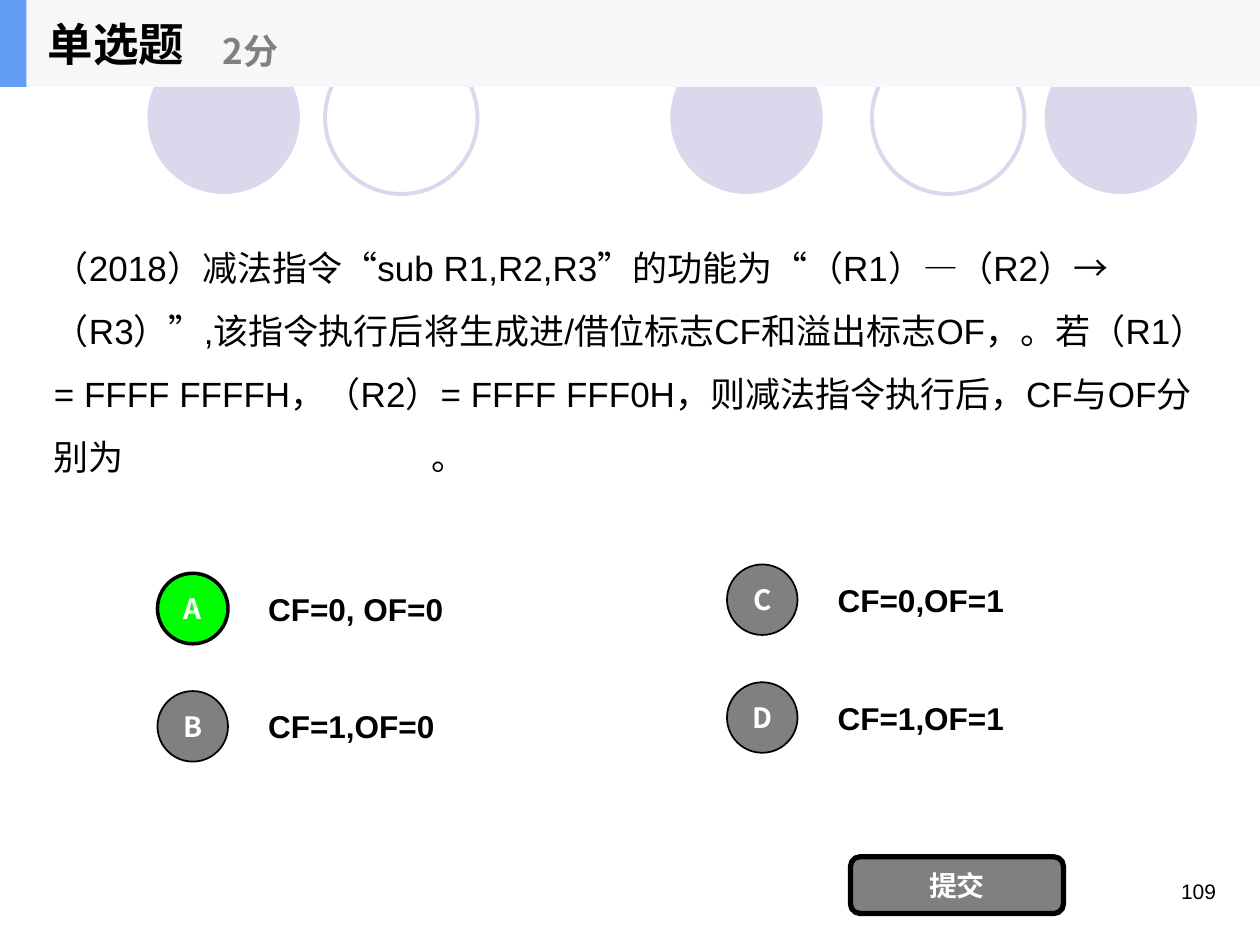
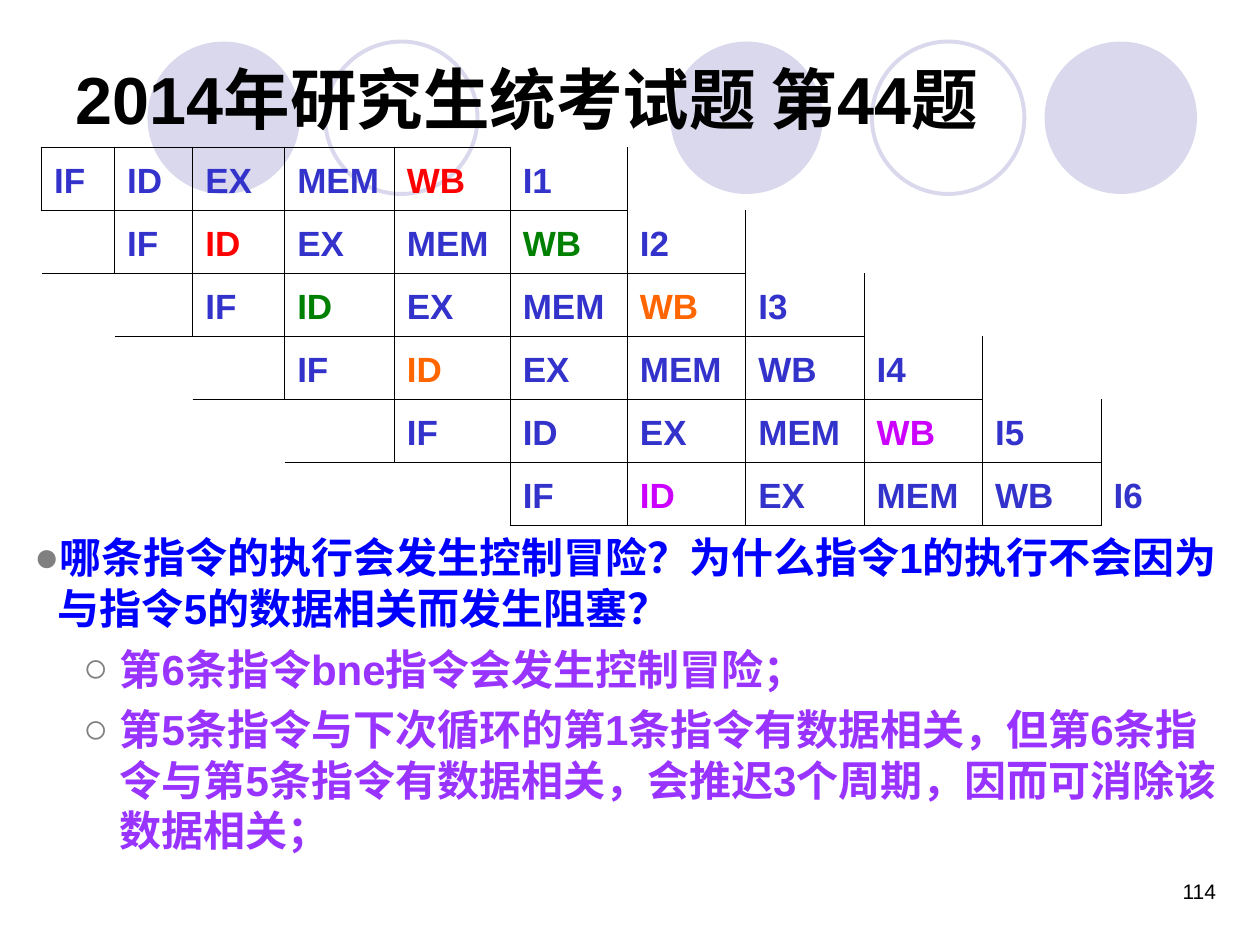
import pptx
import pptx.util
import pptx.dml.color
import pptx.enum.shapes
import pptx.enum.text
import pptx.oxml.ns
from lxml import etree

Inches = pptx.util.Inches
Pt = pptx.util.Pt
OVAL = pptx.enum.shapes.MSO_SHAPE.OVAL
RECTANGLE = pptx.enum.shapes.MSO_SHAPE.RECTANGLE
ROUNDED = pptx.enum.shapes.MSO_SHAPE.ROUNDED_RECTANGLE
MIDDLE = pptx.enum.text.MSO_ANCHOR.MIDDLE
TOP = pptx.enum.text.MSO_ANCHOR.TOP
LEFT = pptx.enum.text.PP_ALIGN.LEFT
CENTER = pptx.enum.text.PP_ALIGN.CENTER
RIGHT = pptx.enum.text.PP_ALIGN.RIGHT

LATIN, CJK = "Arial", "Noto Sans CJK SC"
COLORS = {
    "black": "000000", "white": "FFFFFF", "gray": "808080", "circle": "D9D8EC",
    "band": "F6F7F8", "accent": "639EF4", "correct": "00FF00", "stage": "3333CC",
    "red": "FF0000", "green": "008000", "orange": "FF6600", "magenta": "CC00FF",
    "question": "0000FF", "answer": "9933FF",
}

CIRCLE_SIZE, CIRCLE_TOP = 1.21, 0.33
CIRCLES = [(5.32, True), (8.29, True), (1.17, True), (6.92, False), (2.58, False)]

QUIZ = {
    "title": "单选题",
    "score": "2分",
    "question": "（2018）减法指令“sub R1,R2,R3”的功能为“（R1）—（R2）→（R3）”,"
                "该指令执行后将生成进/借位标志CF和溢出标志OF，。"
                "若（R1）= FFFF FFFFH，（R2）= FFFF FFF0H，"
                "则减法指令执行后，CF与OF分别为",
    "blank": "\t\t\t",
    "end": "。",
    "options": [("A", "CF=0, OF=0"), ("B", "CF=1,OF=0"),
                ("C", "CF=0,OF=1"), ("D", "CF=1,OF=1")],
    "correct": "A",
    "submit": "提交",
    "number": "109",
}

PIPELINE = {
    "title": "2014年研究生统考试题 第44题",
    "stages": ["IF", "ID", "EX", "MEM", "WB"],
    "instructions": ["I1", "I2", "I3", "I4", "I5", "I6"],
    "hazards": {("I1", "WB"): "red", ("I2", "ID"): "red",
                ("I2", "WB"): "green", ("I3", "ID"): "green",
                ("I3", "WB"): "orange", ("I4", "ID"): "orange",
                ("I5", "WB"): "magenta", ("I6", "ID"): "magenta"},
    "points": [
        (0, "哪条指令的执行会发生控制冒险？为什么指令1的执行不会因为与指令5的数据相关而发生阻塞？"),
        (1, "第6条指令bne指令会发生控制冒险；"),
        (1, "第5条指令与下次循环的第1条指令有数据相关，但第6条指令与第5条指令有数据相关，"
            "会推迟3个周期，因而可消除该数据相关；"),
    ],
    "number": "114",
}
CYCLE_WIDTHS = [0.58, 0.62, 0.73, 0.87, 0.92, 0.93] + [0.94] * 5
POINT_LEVELS = [
    {"bullet": "●", "margin": 0.19, "hang": 0.19, "color": "question"},
    {"bullet": "○", "margin": 0.68, "hang": 0.29, "color": "answer"},
]


def rgb(color):
    return pptx.dml.color.RGBColor.from_string(COLORS[color])


def add_xml(parent, tag, **attributes):
    return etree.SubElement(parent, pptx.oxml.ns.qn(tag), attributes)


def style_paragraph(paragraph, size, color, bold=False, font=LATIN, align=LEFT):
    paragraph.alignment = align
    for run in paragraph.runs:
        run.font.size = Pt(size)
        run.font.bold = bold
        run.font.color.rgb = rgb(color)
        run.font.name = font
        add_xml(run.font._element, "a:ea", typeface=CJK)


def place(shape, box):
    shape.left, shape.top, shape.width, shape.height = map(Inches, box)


def write(shape, text, size, color, anchor=MIDDLE, **style):
    frame = shape.text_frame
    frame.text = text
    frame.word_wrap = True
    frame.auto_size = pptx.enum.text.MSO_AUTO_SIZE.NONE
    frame.vertical_anchor = anchor
    style_paragraph(frame.paragraphs[0], size, color, **style)


def add_text(slide, box, text, size, color, **style):
    label = slide.shapes.add_textbox(*map(Inches, box))
    write(label, text, size, color, **style)
    return label


def add_panel(slide, kind, box, fill=None, line=None, weight=1):
    panel = slide.shapes.add_shape(kind, *map(Inches, box))
    panel.shadow.inherit = False
    if fill:
        panel.fill.solid()
        panel.fill.fore_color.rgb = rgb(fill)
    else:
        panel.fill.background()
    if line:
        panel.line.color.rgb = rgb(line)
        panel.line.width = Pt(weight)
    else:
        panel.line.fill.background()
    return panel


def bring_to_front(shape):
    shape.element.getparent().append(shape.element)


def start_slide(deck, layout, number):
    slide = deck.slides.add_slide(deck.slide_layouts[layout])
    for left, filled in CIRCLES:
        box = (left, CIRCLE_TOP, CIRCLE_SIZE, CIRCLE_SIZE)
        if filled:
            add_panel(slide, OVAL, box, fill="circle")
        else:
            add_panel(slide, OVAL, box, line="circle", weight=2.25)
    for placeholder in slide.placeholders:
        bring_to_front(placeholder)
    add_text(slide, (7.42, 6.92, 2.33, 0.5), number, 12, "black", anchor=TOP, align=RIGHT)
    return slide


def add_question(slide):
    question = add_text(slide, (0.33, 1.5, 9.47, 2.58), QUIZ["question"], 20, "black")
    paragraph = question.text_frame.paragraphs[0]
    blank = paragraph.add_run()
    blank.text = QUIZ["blank"]
    blank.font.underline = True
    paragraph.add_run().text = QUIZ["end"]
    tabs = add_xml(paragraph._p.get_or_add_pPr(), "a:tabLst")
    for stop in range(1, 8):
        add_xml(tabs, "a:tab", pos=str(Inches(stop)), algn="l")
    paragraph.line_spacing = 1.5
    style_paragraph(paragraph, 20, "black")


def add_options(slide):
    for index, (letter, answer) in enumerate(QUIZ["options"]):
        column, row = divmod(index, 2)
        left = 1.25 + 4.52 * column
        top = 4.55 - 0.07 * column + 0.935 * row
        correct = letter == QUIZ["correct"]
        badge = add_panel(slide, OVAL, (left, top, 0.56, 0.56),
                          "correct" if correct else "gray", "black", 2 if correct else 1)
        write(badge, letter, 16, "white", bold=True, font=CJK, align=CENTER)
        add_text(slide, (left + 0.78, top - 0.07, 1.92, 0.7), answer, 18, "black", bold=True)


def build_quiz(deck):
    slide = start_slide(deck, 5, QUIZ["number"])
    add_question(slide)
    add_options(slide)
    submit = add_panel(slide, ROUNDED, (6.75, 6.8, 1.69, 0.45), "gray", "black", 3)
    write(submit, QUIZ["submit"], 16, "white", bold=True, font=CJK, align=CENTER)
    add_panel(slide, RECTANGLE, (0, 0, 10, 0.69), "band")
    add_panel(slide, RECTANGLE, (0, 0, 0.21, 0.69), "accent")
    title = slide.shapes.title
    place(title, (0.28, 0, 1.39, 0.69))
    write(title, QUIZ["title"], 26, "black", bold=True, font=CJK)
    bring_to_front(title)
    add_text(slide, (1.67, 0.12, 2.5, 0.56), QUIZ["score"], 20, "gray", bold=True, font=CJK)


def is_stage(row, column):
    return (0 <= row < len(PIPELINE["instructions"])
            and 0 <= column - row < len(PIPELINE["stages"]))


def add_borders(cell, row, column):
    sides = [("a:lnL", 0, -1), ("a:lnR", 0, 1), ("a:lnT", -1, 0), ("a:lnB", 1, 0)]
    properties = cell._tc.get_or_add_tcPr()
    for tag, down, across in sides:
        if is_stage(row, column) or is_stage(row + down, column + across):
            outer = row + down < 0 or column + across < 0
            border = add_xml(properties, tag, w=str(Pt(1.08 if outer else 0.45)))
            add_xml(add_xml(border, "a:solidFill"), "a:srgbClr", val=COLORS["black"])


def add_pipeline(slide):
    instructions, stages = PIPELINE["instructions"], PIPELINE["stages"]
    frame = slide.shapes.add_table(
        len(instructions), len(CYCLE_WIDTHS), Inches(0.33), Inches(1.17),
        Inches(sum(CYCLE_WIDTHS)), Inches(0.5 * len(instructions)))
    table = frame.table
    table.first_row = table.horz_banding = False
    style = table._tbl.tblPr.find(pptx.oxml.ns.qn("a:tableStyleId"))
    style.text = "{2D5ABB26-0587-4C30-8999-92F81FD0307C}"
    for column, width in zip(table.columns, CYCLE_WIDTHS):
        column.width = Inches(width)
    for row, instruction in enumerate(instructions):
        for column in range(len(CYCLE_WIDTHS)):
            cell = table.cell(row, column)
            add_borders(cell, row, column)
            cell.fill.background()
        for offset, entry in enumerate(stages + [instruction]):
            cell = table.cell(row, row + offset)
            cell.text = entry
            paragraph = cell.text_frame.paragraphs[0]
            paragraph.line_spacing = 1.2
            color = PIPELINE["hazards"].get((instruction, entry), "stage")
            style_paragraph(paragraph, 20, color, bold=True)


def add_points(body):
    place(body, (0.17, 4.17, 9.75, 2.83))
    frame = body.text_frame
    frame.text = "\n".join(text for level, text in PIPELINE["points"])
    frame.auto_size = pptx.enum.text.MSO_AUTO_SIZE.NONE
    for index, (level, text) in enumerate(PIPELINE["points"]):
        paragraph, look = frame.paragraphs[index], POINT_LEVELS[level]
        properties = paragraph._p.get_or_add_pPr()
        properties.set("marL", str(Inches(look["margin"])))
        properties.set("indent", str(-Inches(look["hang"])))
        add_xml(add_xml(properties, "a:buClr"), "a:srgbClr", val=COLORS["gray"])
        add_xml(properties, "a:buFont", typeface=LATIN)
        add_xml(properties, "a:buChar", char=look["bullet"])
        paragraph.level = level
        paragraph.line_spacing = 1.0
        paragraph.space_before = Pt(3 if index else 0)
        paragraph.space_after = Pt(3)
        style_paragraph(paragraph, 24, look["color"], bold=True)


def build_pipeline(deck):
    slide = start_slide(deck, 1, PIPELINE["number"])
    place(slide.shapes.title, (0.5, 0.3, 9, 0.95))
    write(slide.shapes.title, PIPELINE["title"], 38, "black", bold=True)
    add_points(slide.placeholders[1])
    add_pipeline(slide)


def main():
    deck = pptx.Presentation()
    deck.slide_width, deck.slide_height = Inches(10), Inches(7.5)
    build_quiz(deck)
    build_pipeline(deck)
    deck.save("out.pptx")


if __name__ == "__main__":
    main()
